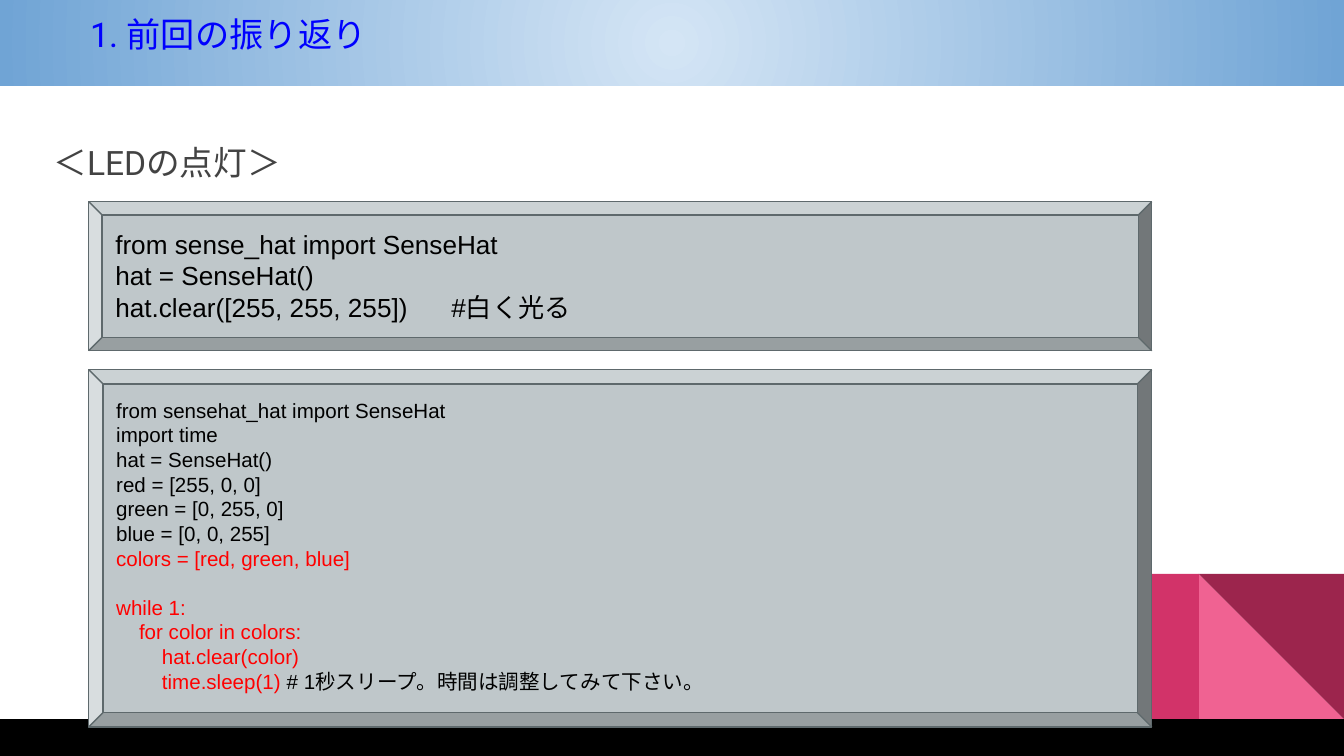
import pptx
import pptx.util
import pptx.dml.color
import pptx.enum.shapes
import pptx.enum.text
import pptx.oxml

Inches, Pt = pptx.util.Inches, pptx.util.Pt
KIND = pptx.enum.shapes.MSO_SHAPE
ALIGN = pptx.enum.text.PP_ALIGN
ANCHOR = pptx.enum.text.MSO_ANCHOR
NS = 'xmlns:a="http://schemas.openxmlformats.org/drawingml/2006/main"'
BLACK, RED = "000000", "FF0000"


def tint(code):
    return pptx.dml.color.RGBColor.from_string(code)


def add_run(para, text, face, size, color):
    run = para.add_run()
    run.text = text
    for name, value in {"name": face, "size": Pt(size)}.items():
        setattr(run.font, name, value)
    run.font.color.rgb = tint(color)


# Wide slide, 16 to 9
deck = pptx.Presentation()
deck.slide_width = Inches(10)
deck.slide_height = Inches(10) * 9 // 16
slide = deck.slides.add_slide(deck.slide_layouts[6])
shapes = slide.shapes

# Corner tiles and bottom bar
side, top = 1.08, 4.27
right = 10 - side
tiles = [
    (KIND.RIGHT_TRIANGLE, right, top, side, side, 0, "F06292"),
    (KIND.RECTANGLE, right - side, top, side, side, 0, "D23369"),
    (KIND.RIGHT_TRIANGLE, right, top, side, side, 180, "9C254D"),
    (KIND.RECTANGLE, 0, top + side, 10, 0.28, 0, BLACK),
]
for kind, *box, turn, color in tiles:
    tile = shapes.add_shape(kind, *map(Inches, box))
    tile.shadow.inherit = False
    tile.rotation = turn
    tile.fill.solid()
    tile.fill.fore_color.rgb = tint(color)
    tile.line.fill.background()

# Title band with a round gradient
band = shapes.add_shape(KIND.RECTANGLE, 0, 0, Inches(10), Inches(0.64))
band.shadow.inherit = False
band.line.fill.background()
band.fill.gradient()
for stop, place, color in zip(band.fill.gradient_stops, (0, 1), ("D4E5F5", "70A4D5")):
    stop.position = place
    stop.color.rgb = tint(color)
grad = band._element.spPr.find(pptx.oxml.ns.qn("a:gradFill"))
grad.remove(grad.find(pptx.oxml.ns.qn("a:lin")))
grad.append(pptx.oxml.parse_xml(
    f'<a:path {NS} path="circle"><a:fillToRect l="50000" t="50000" r="50000" b="50000"/></a:path>'))

# Title and heading text
head = shapes.add_textbox(*map(Inches, (0.3, 0.91, 9.47, 4.4)))
for item, left, text, size, color in [
    (band, 0.67, "1. 前回の振り返り", 18.3, "0000FF"),
    (head, 0.1, "＜LEDの点灯＞", 18, "434343"),
]:
    frame = item.text_frame
    look = {"word_wrap": True, "vertical_anchor": ANCHOR.TOP, "margin_left": Inches(left),
            "margin_top": Inches(0.1), "margin_right": Inches(0.1), "margin_bottom": Inches(0.1)}
    for name, value in look.items():
        setattr(frame, name, value)
    para = frame.paragraphs[0]
    para.alignment = ALIGN.LEFT
    add_run(para, text, "Roboto", size, color)
for name, value in {"line_spacing": 1.15, "space_after": Pt(12)}.items():
    setattr(head.text_frame.paragraphs[0], name, value)

# Code panels: each line is indent level, space before, then runs
first = [
    (0, 0, [("from sense_hat import SenseHat", BLACK)]),
    (0, 0, [("hat = SenseHat()", BLACK)]),
    (0, 0, [("hat.clear([255, 255, 255])\t#白く光る", BLACK)]),
]
second = [
    (0, 0, [("from sensehat_hat import SenseHat", BLACK)]),
    (0, 0, [("import time", BLACK)]),
    (0, 0, [("hat = SenseHat()", BLACK)]),
    (0, 0, [("red = [255, 0, 0]", BLACK)]),
    (0, 0, [("green = [0, 255, 0]", BLACK)]),
    (0, 0, [("blue = [0, 0, 255]", BLACK)]),
    (0, 0, [("colors = [red, green, blue]", RED)]),
    (0, 13, [("while 1:", RED)]),
    (1, 0, [("for color in colors:", RED)]),
    (2, 0, [("hat.clear(color)", RED)]),
    (2, 0, [("time.sleep(1)", RED), (" # 1秒スリープ。時間は調整してみて下さい。", BLACK)]),
]
for top, high, bend, low, size, lines in [
    (1.5, 1.11, 0.09, 0.11, 14, first),
    (2.75, 2.66, 0.04, 0.14, 11, second),
]:
    panel = shapes.add_shape(KIND.BEVEL, *map(Inches, (0.66, top, 7.91, high)))
    panel.shadow.inherit = False
    panel.adjustments[0] = bend
    panel.fill.solid()
    panel.fill.fore_color.rgb = tint("BFC7CA")
    panel.line.color.rgb = tint("5E696C")
    panel.line.width = Pt(0.75)
    frame = panel.text_frame
    look = {"word_wrap": True, "vertical_anchor": ANCHOR.MIDDLE, "margin_left": Inches(0.1),
            "margin_top": Inches(0.1), "margin_right": Inches(0.1), "margin_bottom": Inches(low)}
    for name, value in look.items():
        setattr(frame, name, value)
    for row, (level, gap, runs) in enumerate(lines):
        para = frame.add_paragraph() if row else frame.paragraphs[0]
        for name, value in {"alignment": ALIGN.LEFT, "space_before": Pt(gap)}.items():
            setattr(para, name, value)
        props = para._p.get_or_add_pPr()
        props.set("marL", str(Inches(0.17 * level)))
        props.set("indent", "0")
        if "\t" in runs[0][0]:
            props.append(pptx.oxml.parse_xml(
                f'<a:tabLst {NS}><a:tab pos="{Inches(2.82)}" algn="l"/></a:tabLst>'))
        for text, color in runs:
            add_run(para, text, "Arial", size, color)

deck.save("out.pptx")
